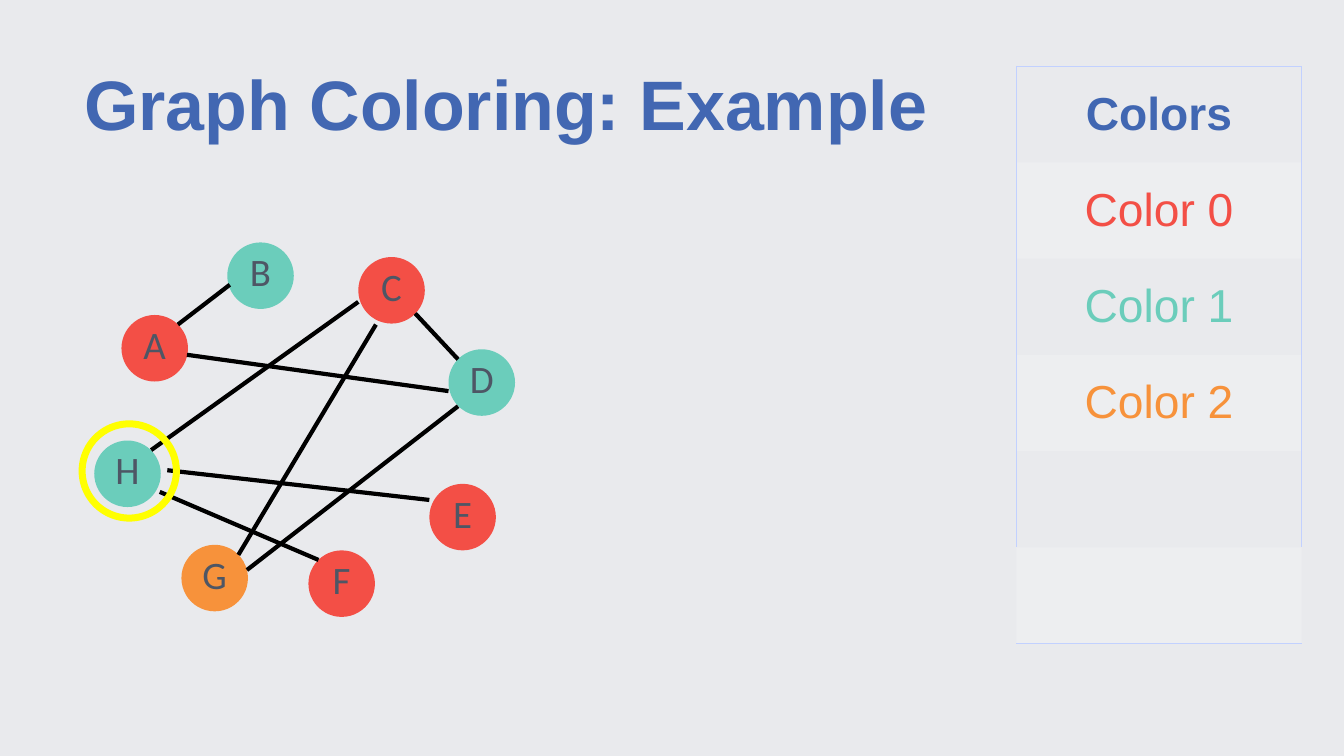
"""Build the graph coloring example slide."""
import pptx
import pptx.util
import pptx.dml.color
import pptx.enum.shapes
import pptx.enum.text
import pptx.oxml
import pptx.oxml.ns

Inches, Pt = pptx.util.Inches, pptx.util.Pt
RGBColor = pptx.dml.color.RGBColor
MSO_SHAPE = pptx.enum.shapes.MSO_SHAPE
MSO_CONNECTOR = pptx.enum.shapes.MSO_CONNECTOR
MSO_ANCHOR = pptx.enum.text.MSO_ANCHOR
PP_ALIGN = pptx.enum.text.PP_ALIGN

BACKGROUND = RGBColor(0xE9, 0xEA, 0xED)
BLUE = RGBColor(0x42, 0x67, 0xB2)
HEADER_BLUE = RGBColor(0x41, 0x67, 0xB2)
RED = RGBColor(0xF3, 0x4F, 0x46)
TEAL = RGBColor(0x6B, 0xCD, 0xBB)
ORANGE = RGBColor(0xF7, 0x92, 0x3B)
GRAY = RGBColor(0x4E, 0x56, 0x65)
BLACK = RGBColor(0, 0, 0)
YELLOW = RGBColor(0xFF, 0xFF, 0)
WHITE = RGBColor(0xFF, 0xFF, 0xFF)
BORDER = RGBColor(0xC2, 0xD1, 0xFF)

TITLE = "Graph Coloring: Example"
NODE_SIZE = 1.32
NODES = [
    ("A", 2.41, 6.25, RED),
    ("B", 4.51, 4.81, TEAL),
    ("C", 7.11, 5.1, RED),
    ("H", 1.87, 8.74, TEAL),
    ("G", 3.6, 10.81, ORANGE),
    ("F", 6.12, 10.92, RED),
    ("E", 8.52, 9.6, RED),
    ("D", 8.9, 6.93, TEAL),
]
EDGES = {
    "AB": (3.53, 6.44, 4.56, 5.65),
    "AD": (3.71, 7.04, 8.9, 7.76),
    "CD": (8.24, 6.22, 9.09, 7.13),
    "CG": (7.46, 6.44, 4.73, 11.01),
    "HE": (3.32, 9.33, 8.52, 9.92),
    "HF": (3.17, 9.76, 6.32, 11.11),
    "DG": (9.09, 8.06, 4.9, 11.31),
    "CH": (7.11, 5.99, 3, 8.93),
}
LEGEND = [
    ("Colors", HEADER_BLUE),
    ("Color 0", RED),
    ("Color 1", TEAL),
    ("Color 2", ORANGE),
    ("", None),
    ("", None),
]
ROW_HEIGHT = 1.91


def set_font(p, name, size, color, bold=False):
    p.font.name, p.font.size, p.font.bold = name, Pt(size), bold
    p.font.color.rgb = color


def add_circle(slide, left, top, size):
    sp = slide.shapes.add_shape(
        MSO_SHAPE.OVAL, Inches(left), Inches(top), Inches(size), Inches(size))
    sp.shadow.inherit = False
    return sp


def add_title(slide):
    sp = slide.shapes.title
    sp.left, sp.top, sp.width, sp.height = map(Inches, (1.67, 1.14, 17.34, 2.01))
    tf = sp.text_frame
    tf.margin_left = tf.margin_top = tf.margin_right = tf.margin_bottom = 0
    tf.vertical_anchor = MSO_ANCHOR.MIDDLE
    tf.word_wrap = True
    p = tf.paragraphs[0]
    p.text, p.alignment, p.line_spacing = TITLE, PP_ALIGN.LEFT, 0.9
    set_font(p, "Arial", 100, BLUE, True)


def add_node(slide, name, left, top, color):
    sp = add_circle(slide, left, top, NODE_SIZE)
    sp.fill.solid()
    sp.fill.fore_color.rgb = color
    sp.line.fill.background()
    tf = sp.text_frame
    tf.margin_left = tf.margin_top = tf.margin_right = tf.margin_bottom = Inches(0.08)
    tf.vertical_anchor = MSO_ANCHOR.MIDDLE
    p = tf.paragraphs[0]
    p.text, p.alignment, p.line_spacing = name, PP_ALIGN.CENTER, 0.8
    set_font(p, "Calibri", 55.5, GRAY)


def add_edge(slide, ends):
    line = slide.shapes.add_connector(MSO_CONNECTOR.STRAIGHT, *map(Inches, ends))
    line.line.color.rgb = BLACK
    line.line.width = Pt(6)
    line._element.spPr.append(pptx.oxml.parse_xml(
        f'<a:effectLst {pptx.oxml.ns.nsdecls("a")}/>'))


def set_borders(cell, sides):
    for i, side in enumerate(sides):
        cell._tc.get_or_add_tcPr().insert(i, pptx.oxml.parse_xml(
            f'<a:ln{side} {pptx.oxml.ns.nsdecls("a")} w="{Pt(0.75)}"><a:solidFill>'
            f'<a:srgbClr val="{BORDER}"/></a:solidFill></a:ln{side}>'))


def fill_band(cell):
    cell.fill.solid()
    cell.fill.fore_color.rgb = WHITE
    color = cell._tc.tcPr.find(".//" + pptx.oxml.ns.qn("a:srgbClr"))
    color.append(pptx.oxml.parse_xml(
        f'<a:alpha {pptx.oxml.ns.nsdecls("a")} val="20000"/>'))


def add_legend(slide):
    last = len(LEGEND) - 1
    table = slide.shapes.add_table(
        len(LEGEND), 1, Inches(20.17), Inches(1.31),
        Inches(5.66), Inches(ROW_HEIGHT * len(LEGEND))).table
    style = table._tbl.tblPr.find(pptx.oxml.ns.qn("a:tableStyleId"))
    style.text = "{2D5ABB26-0587-4C30-8999-92F81FD0307C}"
    for i, (text, color) in enumerate(LEGEND):
        table.rows[i].height = Inches(ROW_HEIGHT)
        cell = table.cell(i, 0)
        cell.vertical_anchor = MSO_ANCHOR.MIDDLE
        if i % 2:
            fill_band(cell)
        else:
            cell.fill.background()
        set_borders(cell, "B" if i == last else "LRT" if i == 0 else "LR")
        if text:
            p = cell.text_frame.paragraphs[0]
            p.text, p.alignment = text, PP_ALIGN.CENTER
            set_font(p, "Arial", 66, color, i == 0)


def main():
    prs = pptx.Presentation()
    prs.slide_width, prs.slide_height = Inches(26.67), Inches(15)
    slide = prs.slides.add_slide(prs.slide_layouts[5])
    slide.background.fill.solid()
    slide.background.fill.fore_color.rgb = BACKGROUND
    add_title(slide)
    for node in NODES:
        add_node(slide, *node)
    for ends in EDGES.values():
        add_edge(slide, ends)
    add_legend(slide)
    ring = add_circle(slide, 1.63, 8.41, 1.87)
    ring.fill.background()
    ring.line.color.rgb = YELLOW
    ring.line.width = Pt(10)
    prs.save("out.pptx")


if __name__ == "__main__":
    main()
